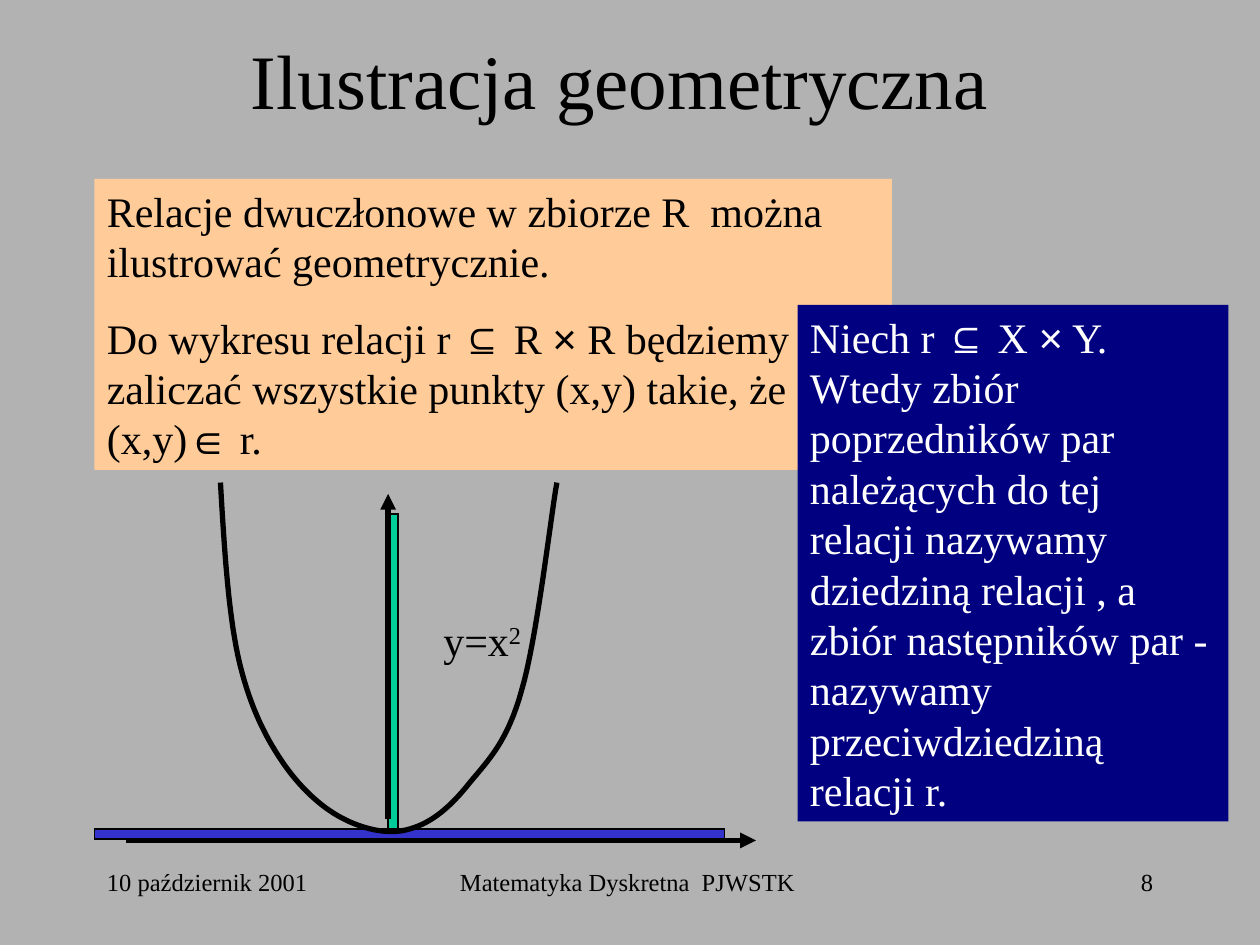
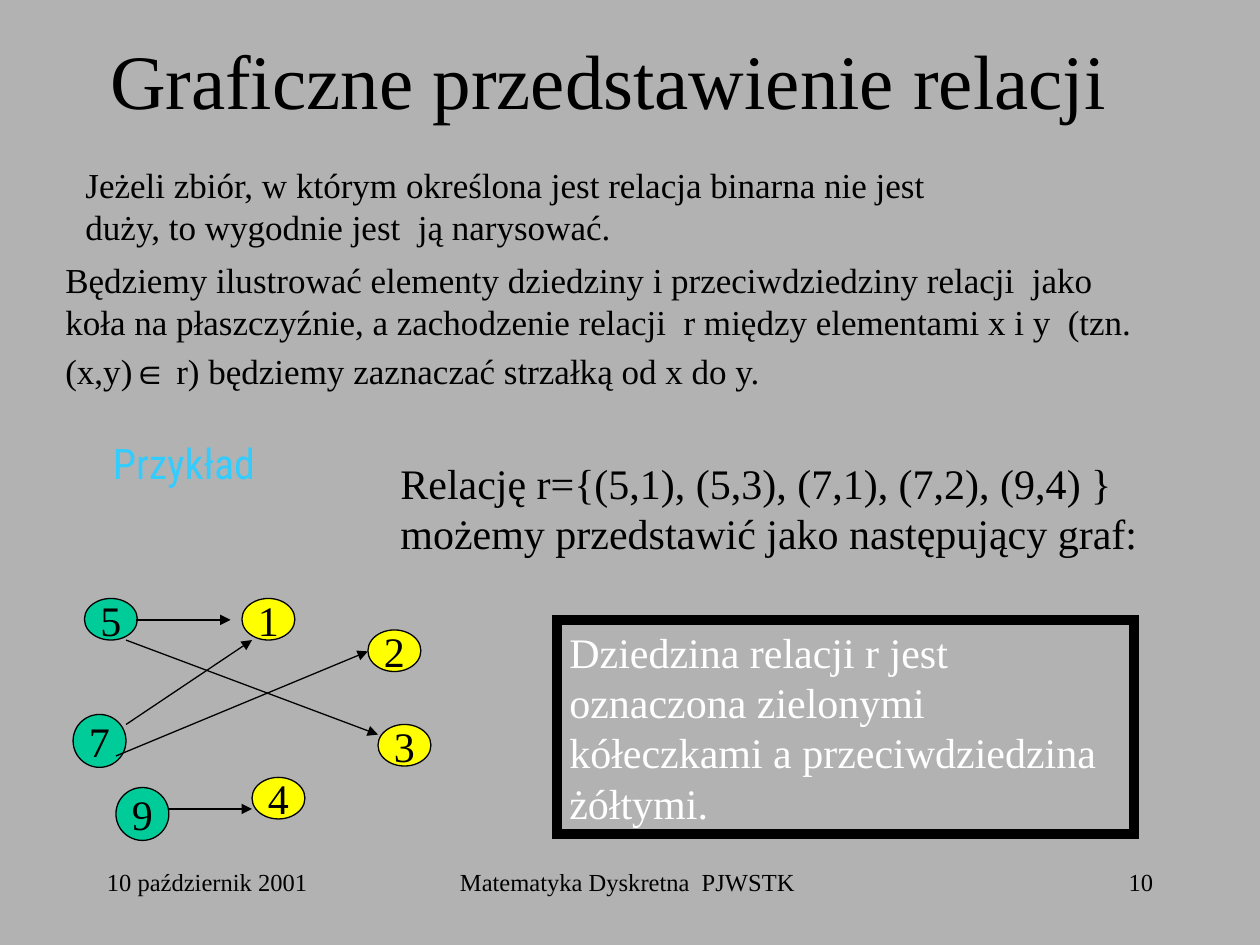
from itertools import groupby

from lxml.etree import SubElement
from pptx import Presentation
from pptx.dml.color import RGBColor
from pptx.enum.shapes import MSO_CONNECTOR, MSO_SHAPE
from pptx.enum.text import MSO_ANCHOR, PP_ALIGN
from pptx.oxml.ns import qn
from pptx.util import Inches, Pt

BLACK = RGBColor(0x00, 0x00, 0x00)
WHITE = RGBColor(0xFF, 0xFF, 0xFF)
GRAY = RGBColor(0xB2, 0xB2, 0xB2)
PEACH = RGBColor(0xFF, 0xCC, 0x99)
NAVY = RGBColor(0x00, 0x00, 0x80)
BLUE = RGBColor(0x33, 0x33, 0xCC)
GREEN = RGBColor(0x00, 0xCC, 0x99)
YELLOW = RGBColor(0xFF, 0xFF, 0x00)
SKY = RGBColor(0x33, 0xCC, 0xFF)

SERIF = "Times New Roman"
SYMBOL_FONT = "Arial"
SYMBOLS = "⊆×∈"

FOOTER_TOP, FOOTER_HEIGHT = 6.83, 0.5
DATE = "10 październik 2001"
COURSE = "Matematyka Dyskretna  PJWSTK "

# A paragraph is a list of spans: plain text, or text with its own format.
RELATION_PLOT = [
    ["Relacje dwuczłonowe w zbiorze R  można ilustrować geometrycznie."],
    ["Do wykresu relacji r ⊆ R × R będziemy zaliczać wszystkie punkty "
     "(x,y) takie, że (x,y)∈ r."],
]
DOMAIN_DEFINITION = [[
    "Niech r ⊆ X × Y. Wtedy zbiór poprzedników par należących do tej relacji "
    "nazywamy dziedziną relacji , a zbiór następników par - nazywamy "
    "przeciwdziedziną relacji r."
]]
PARABOLA_EQUATION = [["y=x", ("2", {"superscript": True})]]
PARABOLA_START = (1.75, 3.83)
PARABOLA_CURVES = [  # two control points and the end of each Bézier curve
    ((1.78, 4.34), (1.81, 4.84), (1.89, 5.21)),
    ((1.97, 5.57), (2.09, 5.82), (2.23, 6.03)),
    ((2.37, 6.24), (2.54, 6.40), (2.71, 6.49)),
    ((2.88, 6.58), (3.08, 6.63), (3.25, 6.58)),
    ((3.43, 6.53), (3.58, 6.40), (3.73, 6.21)),
    ((3.88, 6.03), (4.03, 5.88), (4.14, 5.48)),
    ((4.26, 5.08), (4.37, 4.11), (4.42, 3.83)),
]
AXES = [((1, 6.67), (6, 6.67)), ((3.08, 6.5), (3.08, 3.92))]

SMALL_SETS = [[
    "Jeżeli zbiór, w którym określona jest relacja binarna nie jest duży, "
    "to wygodnie jest  ją narysować."
]]
DRAWING_RULE = [[
    "Będziemy ilustrować elementy dziedziny i przeciwdziedziny relacji  jako "
    "koła na płaszczyźnie, a zachodzenie relacji  r między elementami x i y  "
    "(tzn. (x,y)∈ r) będziemy zaznaczać strzałką od x do y.",
    (" ", {"size": 24}),
]]
EXAMPLE = [["Relację r={(5,1), (5,3), (7,1), (7,2), (9,4) }\n"
            "możemy przedstawić jako następujący graf:"]]
LEGEND = [["Dziedzina relacji r jest oznaczona zielonymi kółeczkami "
           "a przeciwdziedzina żółtymi."]]
NODE_WIDTH = 0.42
NODES = [  # number, left, top, height, colour
    (5, 0.67, 4.75, 0.33, GREEN),
    (7, 0.58, 5.67, 0.42, GREEN),
    (9, 0.92, 6.25, 0.42, GREEN),
    (1, 1.92, 4.75, 0.33, YELLOW),
    (2, 2.92, 5.00, 0.33, YELLOW),
    (3, 3.00, 5.75, 0.33, YELLOW),
    (4, 2.00, 6.17, 0.33, YELLOW),
]
GRAPH_ARROWS = [
    ((1.08, 4.92), (1.83, 4.92)),
    ((1, 5.08), (3, 5.83)),
    ((1, 5.75), (2, 5.08)),
    ((0.92, 6), (2.92, 5.17)),
    ((1.33, 6.42), (2, 6.42)),
]


def add_span(para, text, font=SERIF, size=24, color=BLACK, superscript=False):
    span = para.add_run()
    span.text = text
    span.font.name = font
    span.font.size = Pt(size)
    span.font.color.rgb = color
    if superscript:
        span.font._element.set("baseline", "30000")


def add_text(para, text, font=SERIF, **style):
    """Add text to a paragraph, with set symbols in their own font."""
    for number, line in enumerate(text.split("\n")):
        if number:
            para.add_line_break()
        for is_symbol, letters in groupby(line, lambda letter: letter in SYMBOLS):
            add_span(para, "".join(letters),
                     font=SYMBOL_FONT if is_symbol else font, **style)


def write(shape, paragraphs, align=PP_ALIGN.LEFT, anchor=MSO_ANCHOR.TOP,
          wrap=True, space=15, **style):
    frame = shape.text_frame
    frame.word_wrap = wrap
    frame.vertical_anchor = anchor
    for number, spans in enumerate(paragraphs):
        para = frame.add_paragraph() if number else frame.paragraphs[0]
        para.alignment = align
        if number:
            para.space_before = Pt(space)
        for item in spans:
            text, own_style = (item, {}) if isinstance(item, str) else item
            add_text(para, text, **{**style, **own_style})


def add_label(page, place, paragraphs, **style):
    box = page.shapes.add_textbox(*map(Inches, place))
    write(box, paragraphs, **style)


def add_figure(page, place, fill=None, line=None, kind=MSO_SHAPE.RECTANGLE):
    """Add a preset shape; line is a black outline's width in points."""
    shape = page.shapes.add_shape(kind, *map(Inches, place))
    shape.shadow.inherit = False
    if fill is None:
        shape.fill.background()
    else:
        shape.fill.solid()
        shape.fill.fore_color.rgb = fill
    if line is None:
        shape.line.fill.background()
    else:
        draw_outline(shape, line)
    return shape


def draw_outline(shape, width):
    """Give a shape or connector a black line with sharp corners."""
    shape.line.color.rgb = BLACK
    shape.line.width = Pt(width)
    SubElement(shape._element.spPr.get_or_add_ln(), qn("a:miter"), lim="800000")


def add_arrow(page, start, end, width=0.75):
    arrow = page.shapes.add_connector(
        MSO_CONNECTOR.STRAIGHT, *map(Inches, (*start, *end)))
    draw_outline(arrow, width)
    properties = arrow._element.spPr
    SubElement(properties.get_or_add_ln(), qn("a:tailEnd"), type="triangle")
    SubElement(properties, qn("a:effectLst"))


def bezier_points(start, curves, steps=16):
    points = []
    for first, second, end in curves:
        for step in range(1, steps + 1):
            t = step / steps
            weights = ((1 - t) ** 3, 3 * t * (1 - t) ** 2,
                       3 * t ** 2 * (1 - t), t ** 3)
            points.append(tuple(
                sum(weight * value for weight, value in zip(weights, values))
                for values in zip(start, first, second, end)))
        start = end
    return points


def add_parabola(page):
    # The builder rounds to whole units, so points go in as lengths.
    builder = page.shapes.build_freeform(*map(Inches, PARABOLA_START))
    points = bezier_points(PARABOLA_START, PARABOLA_CURVES)
    builder.add_line_segments(
        [(Inches(x), Inches(y)) for x, y in points], close=False)
    curve = builder.convert_to_shape()
    curve.shadow.inherit = False
    curve.fill.background()
    draw_outline(curve, 3)


def add_page(deck, title, title_left, number):
    """Add a slide with its title and the three footer texts."""
    page = deck.slides.add_slide(deck.slide_layouts[5])
    heading = page.shapes.title
    heading.left, heading.top = Inches(title_left), Inches(0)
    heading.width, heading.height = Inches(8.5), Inches(1.25)
    write(heading, [[title]], align=PP_ALIGN.CENTER,
          anchor=MSO_ANCHOR.MIDDLE, size=44)
    footers = [
        (DATE, 0.75, 2.08, PP_ALIGN.LEFT),
        (COURSE, 3.42, 3.17, PP_ALIGN.CENTER),
        (str(number), 7.17, 2.08, PP_ALIGN.RIGHT),
    ]
    for text, left, width, align in footers:
        add_label(page, (left, FOOTER_TOP, width, FOOTER_HEIGHT), [[text]],
                  align=align, size=14)
    return page


def build_geometry_page(deck):
    page = add_page(deck, "Ilustracja geometryczna", 0.67, 8)
    write(add_figure(page, (0.75, 1.42, 6.33, 2.31), PEACH), RELATION_PLOT)
    add_figure(page, (3.08, 4.08, 0.08, 2.5), GREEN, line=0.75)
    add_figure(page, (0.75, 6.58, 5, 0.08), BLUE, line=0.75)
    add_parabola(page)
    add_label(page, (3.42, 4.83, 1, 0.5), PARABOLA_EQUATION)
    for start, end in AXES:
        add_arrow(page, start, end, width=3)
    write(add_figure(page, (6.33, 2.42, 3.42, 4.1), NAVY),
          DOMAIN_DEFINITION, color=WHITE)


def build_graph_page(deck):
    page = add_page(deck, "Graficzne przedstawienie relacji", 0.58, 10)
    add_label(page, (0.58, 1.25, 7.25, 0.77), SMALL_SETS, size=20)
    add_label(page, (0.42, 2, 8.67, 1.17), DRAWING_RULE, size=20)
    add_label(page, (0.5, 3.42, 1.92, 0.72), [["Przykład"]],
              align=PP_ALIGN.CENTER, font="Roboto Condensed", color=SKY)
    add_label(page, (3.08, 3.58, 6.17, 0.9), EXAMPLE)
    for number, left, top, height, color in NODES:
        node = add_figure(page, (left, top, NODE_WIDTH, height), color,
                          line=0.75, kind=MSO_SHAPE.OVAL)
        write(node, [[str(number)]], align=PP_ALIGN.CENTER,
              anchor=MSO_ANCHOR.MIDDLE, wrap=False)
    for start, end in GRAPH_ARROWS:
        add_arrow(page, start, end)
    write(add_figure(page, (4.42, 4.92, 4.58, 1.7), line=6), LEGEND, color=WHITE)


def main():
    deck = Presentation()
    deck.slide_width, deck.slide_height = Inches(10), Inches(7.5)
    backdrop = deck.slide_master.background.fill
    backdrop.solid()
    backdrop.fore_color.rgb = GRAY
    build_geometry_page(deck)
    build_graph_page(deck)
    deck.save("out.pptx")


if __name__ == "__main__":
    main()
